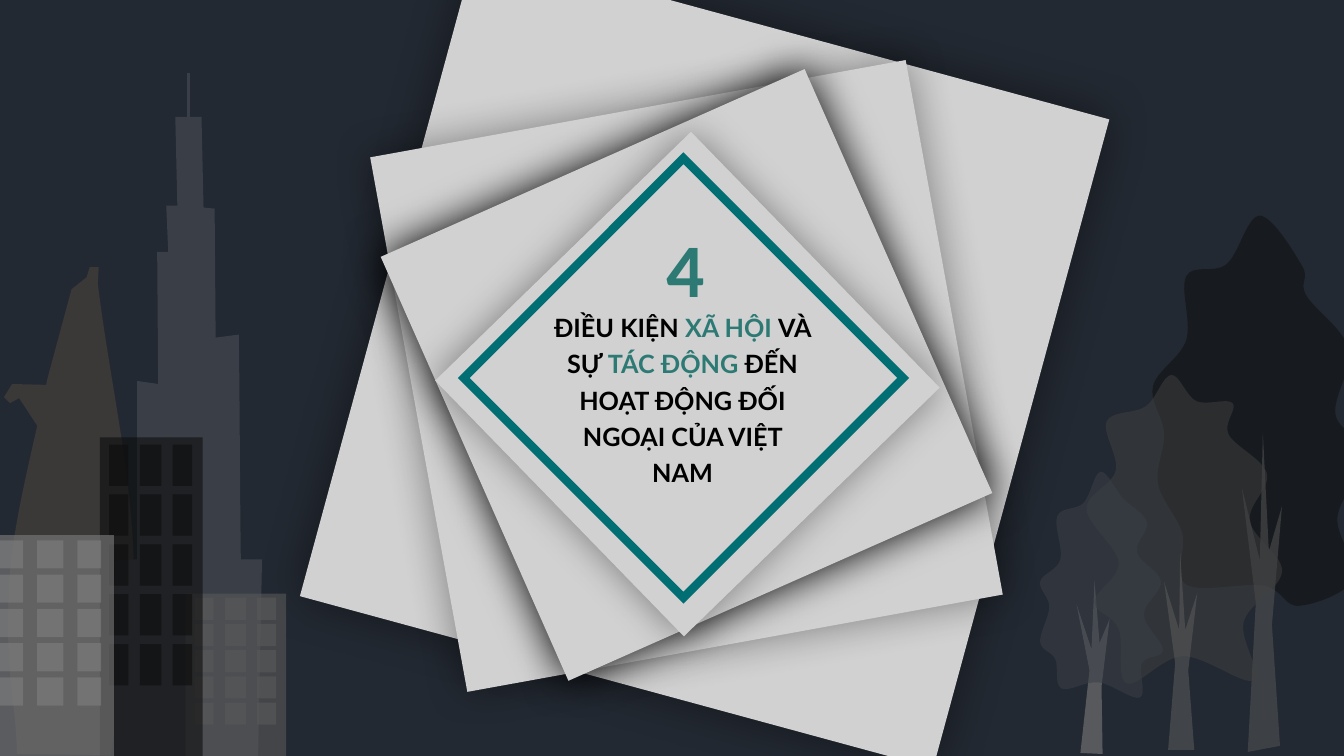
from dataclasses import dataclass

from lxml.etree import Element, SubElement
from pptx import Presentation
from pptx.dml.color import RGBColor
from pptx.enum.shapes import MSO_CONNECTOR, MSO_SHAPE
from pptx.enum.text import MSO_AUTO_SIZE, PP_ALIGN
from pptx.oxml.ns import qn
from pptx.util import Cm, Pt

UNIT = Cm(2.54) / 100


@dataclass(frozen=True)
class Theme:
    night: str = "232932"
    paper: str = "D1D1D1"
    shadow: str = "000000"
    frame: str = "016E73"
    accent: str = "2D7974"
    ink: str = "000000"
    black: str = "0D0D0D"
    brown: str = "3B3838"
    slate: str = "3A3F47"
    leaf: str = "404040"
    bark: str = "5C5C5C"
    stone: str = "595959"
    silver: str = "7F7F7F"
    title_font: str = "Lato"
    number_font: str = "Calibri"
    title_size: int = 18
    number_size: int = 54


THEME = Theme()


@dataclass(frozen=True)
class Box:
    left: int
    top: int
    width: int
    height: int

    def point(self, x, y):
        return round(self.left + x * UNIT), round(self.top + y * UNIT)

    def area(self, x, y, w, h):
        return *self.point(x, y), round(w * UNIT), round(h * UNIT)

    def centred(self, dx, dy, w, h):
        cx = self.left + self.width / 2 + dx * UNIT
        cy = self.top + self.height / 2 + dy * UNIT
        return (round(cx - w * UNIT / 2), round(cy - h * UNIT / 2),
                round(w * UNIT), round(h * UNIT))


def paint(sp, color, opacity=100):
    sp.shadow.inherit = False
    sp.line.fill.background()
    sp.fill.solid()
    sp.fill.fore_color.rgb = RGBColor.from_string(color)
    if opacity < 100:
        clr = sp._element.spPr.find(qn("a:solidFill"))[0]
        SubElement(clr, qn("a:alpha"), val=str(opacity * 1000))
    return sp


def add_rect(s, area, color, opacity=100):
    return paint(s.shapes.add_shape(MSO_SHAPE.RECTANGLE, *area), color, opacity)


def add_outline(s, box, steps, color, opacity=100):
    start, *ends = [box.point(*step[-2:]) for step in steps]
    builder = s.shapes.build_freeform(*start)
    builder.add_line_segments(ends, close=True)
    sp = builder.convert_to_shape()
    segments = list(sp._element.iter(qn("a:lnTo")))
    for segment, step in zip(segments, steps[1:]):
        if len(step) == 6:
            segment.tag = qn("a:cubicBezTo")
            for i in (0, 1):
                x, y = box.point(*step[2 * i:2 * i + 2])
                control = Element(qn("a:pt"), x=str(x - sp.left), y=str(y - sp.top))
                segment.insert(i, control)
    return paint(sp, color, opacity)


def smooth_loop(anchors):
    n = len(anchors)
    steps = [anchors[0]]
    for i in range(n):
        a, b, c, d = [anchors[(i + k) % n] for k in (-1, 0, 1, 2)]
        leave = [q + (r - p) / 6 for p, q, r in zip(a, b, c)]
        arrive = [q - (r - p) / 6 for p, q, r in zip(b, c, d)]
        steps.append((*leave, *arrive, *c))
    return steps


def add_text(s, area, runs, font, size, align=PP_ALIGN.LEFT, spacing=1.0, after=0):
    tf = s.shapes.add_textbox(*area).text_frame
    tf.word_wrap = True
    tf.auto_size = MSO_AUTO_SIZE.SHAPE_TO_FIT_TEXT
    p = tf.paragraphs[0]
    p.alignment = align
    p.line_spacing = spacing
    p.space_after = Pt(after)
    for text, color in runs:
        r = p.add_run()
        r.text = text
        r.font.name = font
        r.font.size = Pt(size)
        r.font.bold = True
        r.font.color.rgb = RGBColor.from_string(color)


def add_shadow(sp, blur, opacity):
    effects = sp._element.spPr.find(qn("a:effectLst"))
    shadow = SubElement(effects, qn("a:outerShdw"), blurRad=str(Pt(blur)),
                        dist="0", dir="0", algn="ctr", rotWithShape="0")
    clr = SubElement(shadow, qn("a:srgbClr"), val=THEME.shadow)
    SubElement(clr, qn("a:alpha"), val=str(opacity * 1000))


def draw_title_stack(s, box):
    for dx, dy, w, h, turn, blur, opacity in (
        (18, -20, 651, 667, 15.2, 34, 40),
        (0, -2, 540, 539, 349.7, 30, 40),
        (0, -3, 460, 460, 66.1, 30, 100),
        (1, 6, 354, 354, 315.8, 28, 40),
    ):
        sheet = add_rect(s, box.centred(dx, dy, w, h), THEME.paper)
        sheet.rotation = turn
        add_shadow(sheet, blur, opacity)

    frame = s.shapes.add_shape(MSO_SHAPE.DIAMOND, *box.centred(-3, 0, 436, 436))
    frame.rotation = 90
    frame.shadow.inherit = False
    frame.fill.background()
    frame.line.color.rgb = RGBColor.from_string(THEME.frame)
    frame.line.width = Pt(6)
    SubElement(frame.line._get_or_add_ln(), qn("a:miter"), lim="800000")

    add_text(s, box.centred(-4, 18, 275, 188), (
        ("ĐIỀU KIỆN ", THEME.ink),
        ("XÃ HỘI ", THEME.accent),
        ("VÀ SỰ ", THEME.ink),
        ("TÁC ĐỘNG ", THEME.accent),
        ("ĐẾN HOẠT ĐỘNG ĐỐI NGOẠI CỦA VIỆT NAM", THEME.ink),
    ), THEME.title_font, THEME.title_size, align=PP_ALIGN.CENTER, spacing=1.2, after=6)
    add_text(s, box.centred(2, -64, 64, 192), (("4", THEME.accent),),
             THEME.number_font, THEME.number_size)


def draw_trees(s, box):
    big_crown = ((254, 381), (177, 380), (173, 329), (149, 280), (155, 230), (144, 183),
                 (177, 137), (177, 74), (217, 62), (250, 14), (292, 64), (296, 93),
                 (338, 146), (325, 211), (355, 251), (327, 313), (343, 374), (289, 401))
    middle_crown = ((174, 451), (118, 478), (110, 424), (86, 397), (110, 358), (78, 305),
                    (107, 267), (98, 218), (137, 203), (162, 172), (187, 198), (223, 200),
                    (219, 231), (257, 270), (240, 317), (272, 367), (234, 417), (244, 475))
    small_crown = ((90, 477), (53, 483), (47, 454), (32, 437), (41, 402), (32, 377),
                   (52, 355), (49, 312), (75, 299), (92, 268), (114, 294), (138, 318),
                   (128, 348), (152, 377), (135, 410), (154, 445), (133, 458), (131, 492))
    small_trunk = ((72, 547), (81, 465), (68, 399), (83, 444), (86, 376),
                   (91, 438), (101, 414), (93, 481), (94, 548))
    big_trunk = ((238, 546), (246, 398), (232, 283), (250, 356), (253, 229),
                 (259, 347), (272, 302), (262, 420), (270, 540))
    middle_trunk = ((159, 544), (166, 458), (155, 377), (170, 425), (171, 349),
                    (176, 425), (188, 388), (179, 465), (185, 544))
    for steps, color, opacity in (
        (small_trunk, THEME.silver, 57),
        (smooth_loop(big_crown), THEME.black, 50),
        (big_trunk, THEME.bark, 47),
        (smooth_loop(middle_crown), THEME.leaf, 51),
        (middle_trunk, THEME.bark, 54),
        (smooth_loop(small_crown), THEME.slate, 54),
    ):
        add_outline(s, box, steps, color, opacity)


def draw_block(s, box, area, first_row, pitch, window_height, color):
    x, y, w, h = area
    add_rect(s, box.area(*area), color, 60)
    for row in range(5):
        for offset, width in ((0.09, 0.19), (0.39, 0.21), (0.71, 0.19)):
            window = (x + offset * w, y + first_row + row * pitch, width * w, window_height)
            add_rect(s, box.area(*window), color, 60)


def draw_skyline(s, box):
    curved_tower = ((9, 581), (5, 675, 15, 685, 17, 748), (110, 749),
                    (118, 692, 134, 635, 133, 578), (133, 476, 109, 380, 97, 281),
                    (98, 265), (89, 265), (86, 275), (71, 287), (47, 376),
                    (35, 437, 12, 518, 9, 581))
    deck = ((50, 382), (12, 381), (4, 394), (10, 400), (19, 395), (40, 427))
    stepped_tower = ((260, 555), (256, 756), (113, 756), (114, 556), (136, 555), (136, 378),
                     (157, 381), (156, 250), (167, 250), (165, 204), (176, 204), (174, 116),
                     (200, 116), (202, 206), (213, 207), (214, 335), (237, 332),
                     (238, 406, 238, 481, 239, 555))
    add_outline(s, box, curved_tower, THEME.brown)
    add_outline(s, box, deck, THEME.brown)
    add_outline(s, box, stepped_tower, THEME.slate)

    mast = s.shapes.add_connector(MSO_CONNECTOR.STRAIGHT, *box.point(187, 72), *box.point(187, 116))
    mast.line.color.rgb = RGBColor.from_string(THEME.slate)
    mast.line.width = Pt(2.25)
    SubElement(mast._element.spPr, qn("a:effectLst"))

    draw_block(s, box, (184, 589, 100, 168), 4, 26, 22, THEME.stone)
    draw_block(s, box, (99, 434, 102, 318), 7, 49.5, 41, THEME.black)
    draw_block(s, box, (-12, 531, 125, 219), 5, 34, 28, THEME.silver)


def main():
    prs = Presentation()
    prs.slide_width = Cm(33.87)
    prs.slide_height = Cm(19.05)
    s = prs.slides.add_slide(prs.slide_layouts[6])
    s.background.fill.solid()
    s.background.fill.fore_color.rgb = RGBColor.from_string(THEME.night)
    draw_title_stack(s, Box(Cm(8.5), Cm(0), Cm(17.6), Cm(19.05)))
    draw_trees(s, Box(Cm(25.4), Cm(5.08), Cm(8.47), Cm(13.97)))
    draw_skyline(s, Box(Cm(0), Cm(0), Cm(7.3), Cm(19.05)))
    prs.save("out.pptx")


if __name__ == "__main__":
    main()
